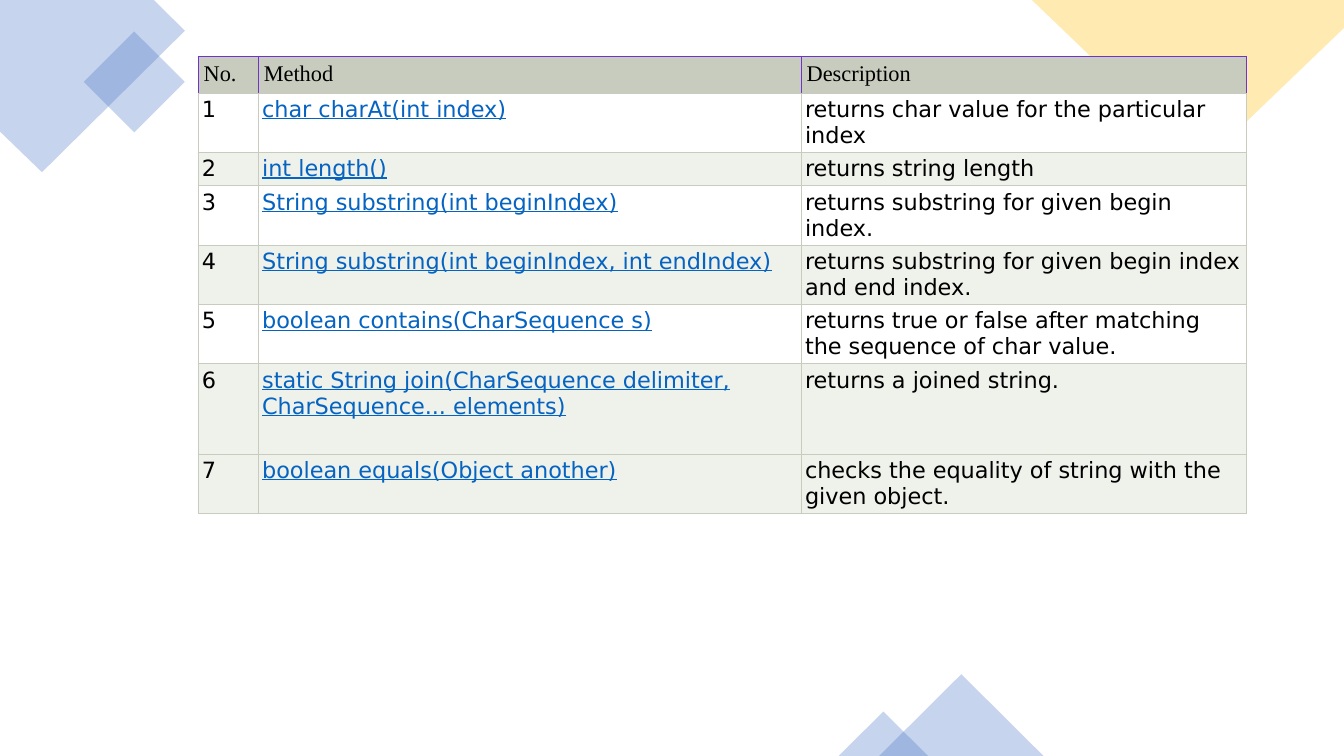
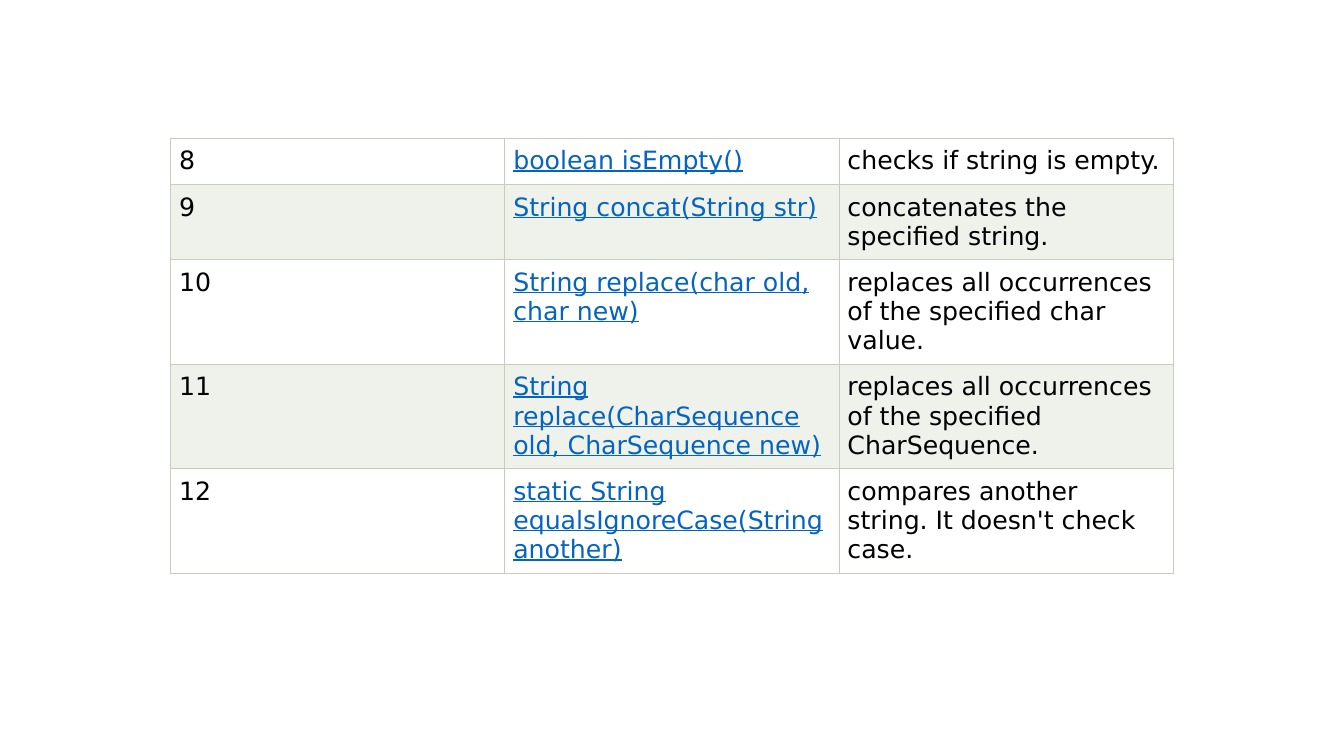
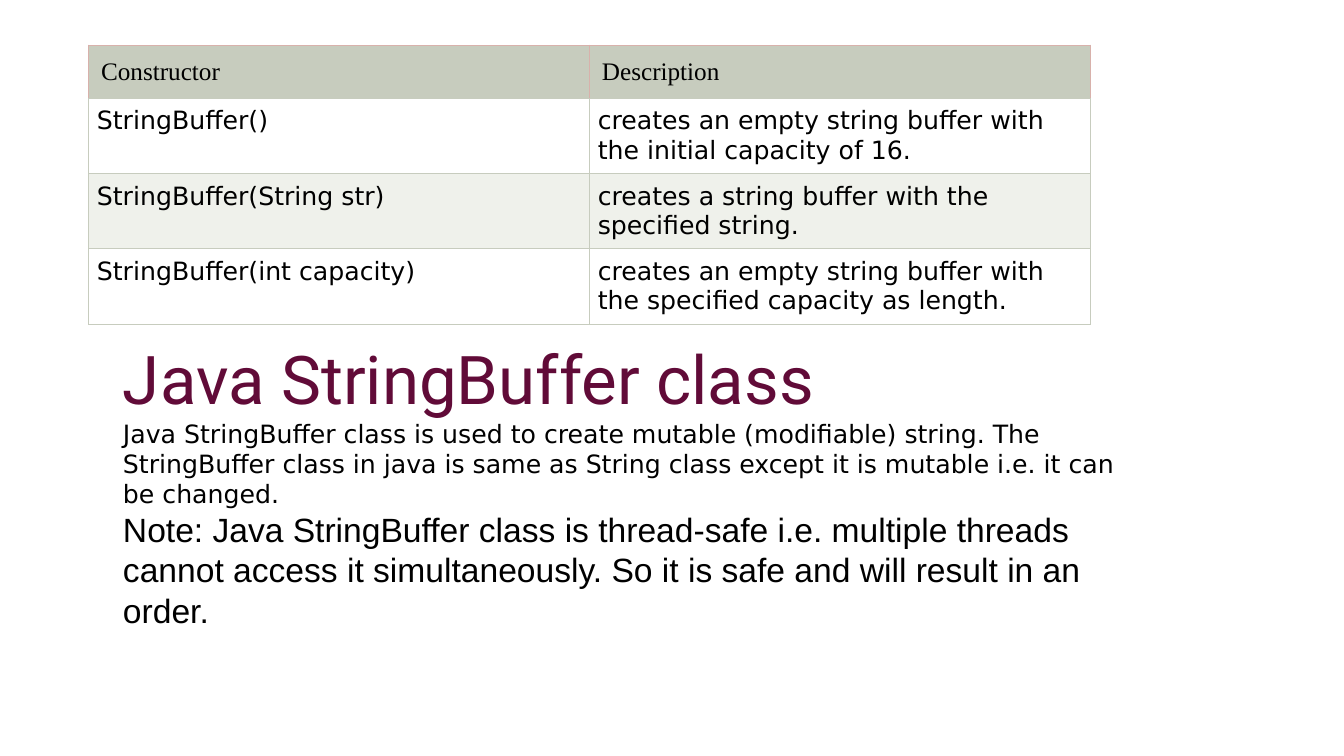
from lxml import etree
from pptx import Presentation
from pptx import util as u
from pptx.dml.color import RGBColor
from pptx.enum import shapes
from pptx.oxml.ns import qn

# Shared look
BLUE = RGBColor(0x44, 0x72, 0xC4)
YELLOW = RGBColor(0xFF, 0xC0, 0x00)
BLACK = RGBColor(0x00, 0x00, 0x00)
WHITE = RGBColor(0xFF, 0xFF, 0xFF)
LINK = RGBColor(0x05, 0x63, 0xC1)
HEADER = RGBColor(0xC7, 0xCC, 0xBE)
BAND = RGBColor(0xEF, 0xF1, 0xEB)
PURPLE = RGBColor(0x70, 0x33, 0xCB)
ROSE = RGBColor(0xD8, 0xB1, 0xAB)
PLUM = RGBColor(0x61, 0x0B, 0x38)
BODY_FONT = "DejaVu Sans"
HEADER_FONT = "Times New Roman"

METHODS = [
    ("No.", "Method", "Description"),
    ("1", "char charAt(int index)", "returns char value for the particular index"),
    ("2", "int length()", "returns string length"),
    ("3", "String substring(int beginIndex)", "returns substring for given begin index."),
    ("4", "String substring(int beginIndex, int endIndex)",
     "returns substring for given begin index and end index."),
    ("5", "boolean contains(CharSequence s)",
     "returns true or false after matching the sequence of char value."),
    ("6", "static String join(CharSequence delimiter, CharSequence... elements)",
     "returns a joined string."),
    ("7", "boolean equals(Object another)",
     "checks the equality of string with the given object."),
]
MORE_METHODS = [
    ("8", "boolean isEmpty()", "checks if string is empty."),
    ("9", "String concat(String str)", "concatenates the specified string."),
    ("10", "String replace(char old, char new)",
     "replaces all occurrences of the specified char value."),
    ("11", "String replace(CharSequence old, CharSequence new)",
     "replaces all occurrences of the specified CharSequence."),
    ("12", "static String equalsIgnoreCase(String another)",
     "compares another string. It doesn't check case."),
]
CONSTRUCTORS = [
    ("Constructor", "Description"),
    ("StringBuffer()",
     "creates an empty string buffer with the initial capacity of 16."),
    ("StringBuffer(String str)", "creates a string buffer with the specified string."),
    ("StringBuffer(int capacity)",
     "creates an empty string buffer with the specified capacity as length."),
]
STRING_BUFFER = [
    ("Java StringBuffer class", dict(size=48, name="Roboto", color=PLUM)),
    ("Java StringBuffer class is used to create mutable (modifiable) string. "
     "The StringBuffer class in java is same as String class except it is mutable "
     "i.e. it can be changed.", dict(size=18, name=BODY_FONT, color=BLACK)),
    ("Note: Java StringBuffer class is thread-safe i.e. multiple threads cannot "
     "access it simultaneously. So it is safe and will result in an order.",
     dict(size=24, name="Arial", color=BLACK)),
]


def write(paragraph, words, look):
    """Put one formatted run into a paragraph."""
    run = paragraph.add_run()
    run.text = words
    for key, value in look.items():
        if key == "color":
            run.font.color.rgb = value
        else:
            setattr(run.font, key, u.Pt(value) if key == "size" else value)


def tint(decor, color):
    """Give a decoration a 30 % opaque fill and no outline."""
    decor.shadow.inherit = False
    decor.line.fill.background()
    decor.fill.solid()
    decor.fill.fore_color.rgb = color
    srgb = decor.fill._xPr.find(".//" + qn("a:srgbClr"))
    etree.SubElement(srgb, qn("a:alpha"), val="30000")


def add_preset(slide, kind, box, color, rotation=0):
    decor = slide.shapes.add_shape(kind, *map(u.Pt, box))
    decor.rotation = rotation
    tint(decor, color)


def add_corner(slide, points, color):
    outline = slide.shapes.build_freeform(*points[0], scale=u.Pt(1))
    outline.add_line_segments(points[1:], close=True)
    tint(outline.convert_to_shape(), color)


def set_borders(cell, colors):
    """Draw the left, right, top and bottom borders in the given colours."""
    props = cell._tc.get_or_add_tcPr()
    for side, color in zip("LRTB", colors):
        line = etree.SubElement(props, qn("a:ln" + side), w=str(u.Pt(0.75)))
        fill = etree.SubElement(line, qn("a:solidFill"))
        etree.SubElement(fill, qn("a:srgbClr"), val=str(color))


def add_grid(slide, rows, corner, widths, heights, size, inset, shaded,
             link_column=None, header_edge=None, header_inset=0):
    """Add a table; header_edge is the header's border colour, if it has one."""
    grid = slide.shapes.add_table(
        len(rows), len(widths), *map(u.Pt, (*corner, sum(widths), sum(heights)))).table
    grid.first_row = grid.horz_banding = False
    for column, width in zip(grid.columns, widths):
        column.width = u.Pt(width)
    for r, (words_row, height) in enumerate(zip(rows, heights)):
        grid.rows[r].height = u.Pt(height)
        is_header = header_edge is not None and r == 0
        edge = header_edge if is_header else HEADER
        fill = HEADER if is_header else BAND if r in shaded else WHITE
        for c, words in enumerate(words_row):
            cell = grid.cell(r, c)
            for side in ("left", "right", "top", "bottom"):
                setattr(cell, "margin_" + side,
                        u.Pt(header_inset if is_header else inset))
            set_borders(cell, (edge, edge, edge, HEADER))
            cell.fill.solid()
            cell.fill.fore_color.rgb = fill
            is_link = c == link_column and not is_header
            write(cell.text_frame.paragraphs[0], words, dict(
                size=size, name=HEADER_FONT if is_header else BODY_FONT,
                color=LINK if is_link else BLACK, underline=is_link))


def add_prose(slide, box, passages):
    frame = slide.shapes.add_textbox(*map(u.Pt, box)).text_frame
    frame.word_wrap = True
    for i, (words, look) in enumerate(passages):
        paragraph = frame.add_paragraph() if i else frame.paragraphs[0]
        write(paragraph, words, look)


def add_decorations(slide):
    preset = shapes.MSO_SHAPE
    add_corner(slide, [(110.2, 0), (0, 0), (0, 93.6), (29.5, 123), (131.8, 21.6)], BLUE)
    add_preset(slide, preset.RECTANGLE, (70.4, 33, 51, 51), BLUE, 315)
    add_corner(slide, [(960, 0), (736.6, 0), (859, 116.6), (960, 20.2)], YELLOW)
    add_preset(slide, preset.ISOSCELES_TRIANGLE, (628, 481.6, 117.4, 58.4), BLUE)
    add_preset(slide, preset.ISOSCELES_TRIANGLE, (599, 508.3, 64, 31.7), BLUE)


def main():
    deck = Presentation()
    deck.slide_width, deck.slide_height = u.Pt(960), u.Pt(540)
    methods, more_methods, constructors = (
        deck.slides.add_slide(deck.slide_layouts[6]) for _ in range(3))

    # String methods 1 to 7
    add_decorations(methods)
    add_grid(methods, METHODS, (141.6, 40.2), (43, 387.8, 318),
             (26.3, 41.6, 23.5, 42, 42, 42, 64.5, 42), 16, 2.7,
             shaded={2, 4, 6, 7}, link_column=1, header_edge=PURPLE, header_inset=3.9)

    # String methods 8 to 12
    add_grid(more_methods, MORE_METHODS, (122, 98.7), [238.7] * 3,
             [33, 53.8] + [74.6] * 3, 18, 6, shaded={1, 3}, link_column=1)

    # StringBuffer
    add_grid(constructors, CONSTRUCTORS, (63.2, 32.2), [357.8] * 2,
             [38] + [53.8] * 3, 18, 6, shaded={2}, header_edge=ROSE, header_inset=9)
    add_prose(constructors, (80.8, 237.6, 724.3, 288.7), STRING_BUFFER)

    deck.save("out.pptx")


if __name__ == "__main__":
    main()
